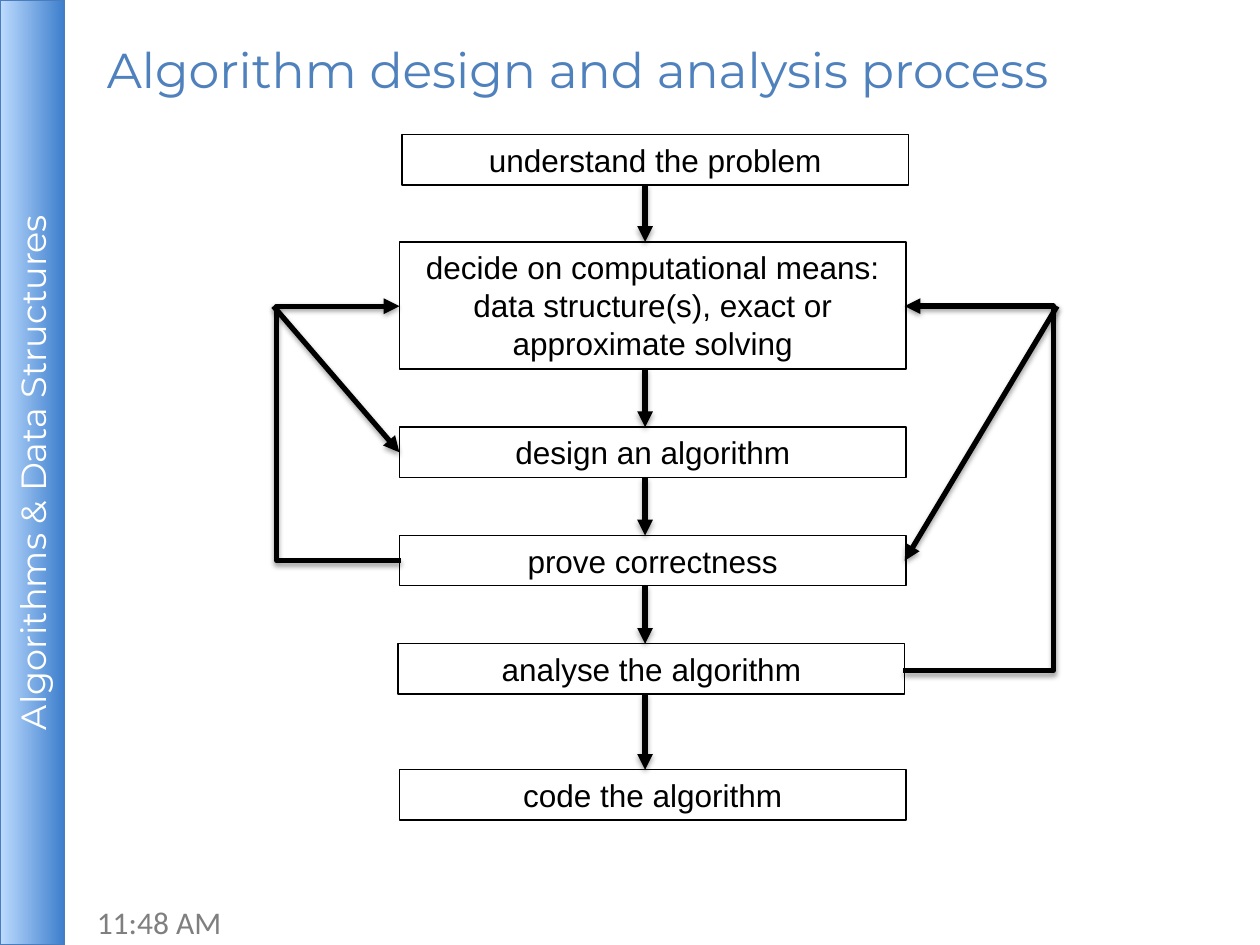
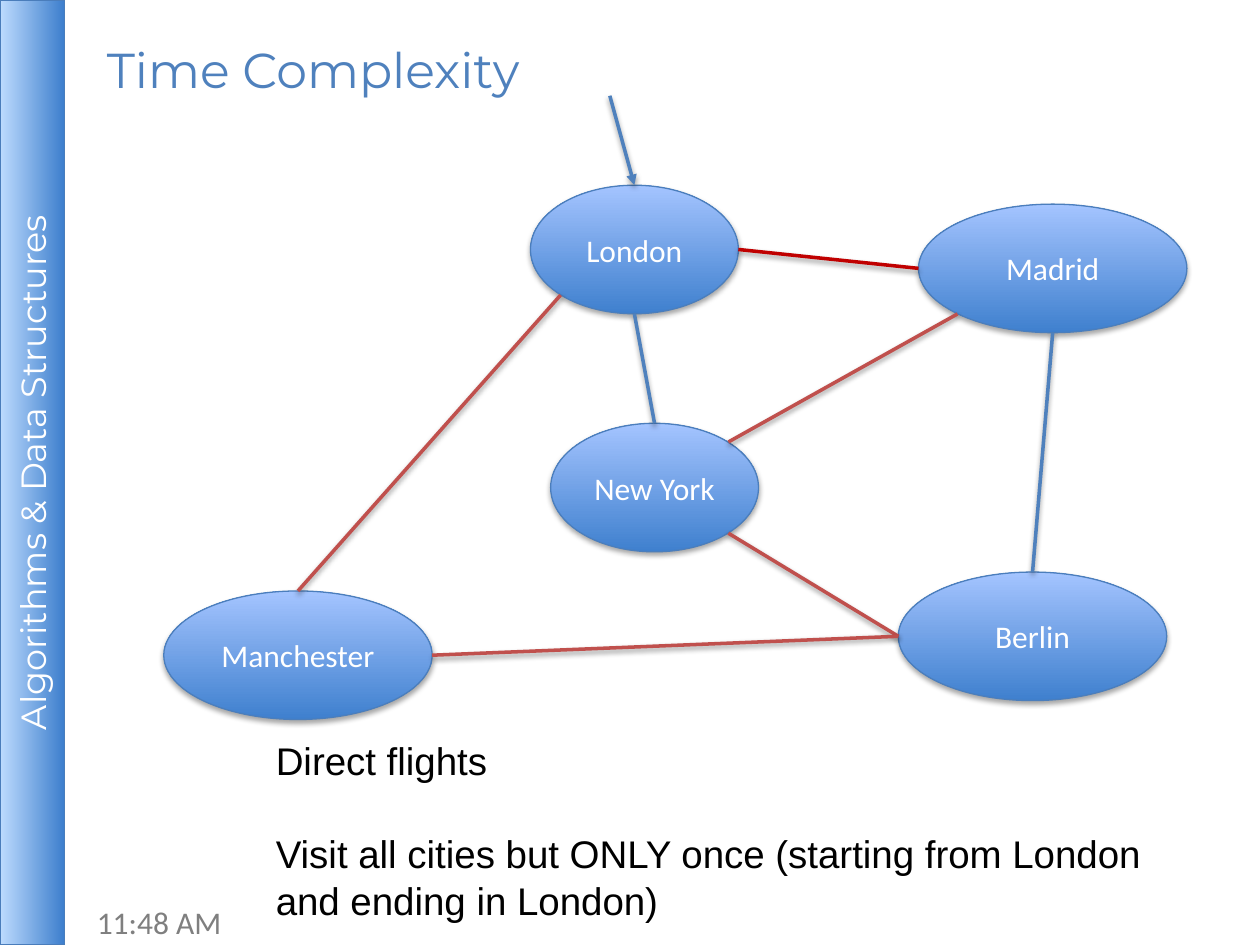
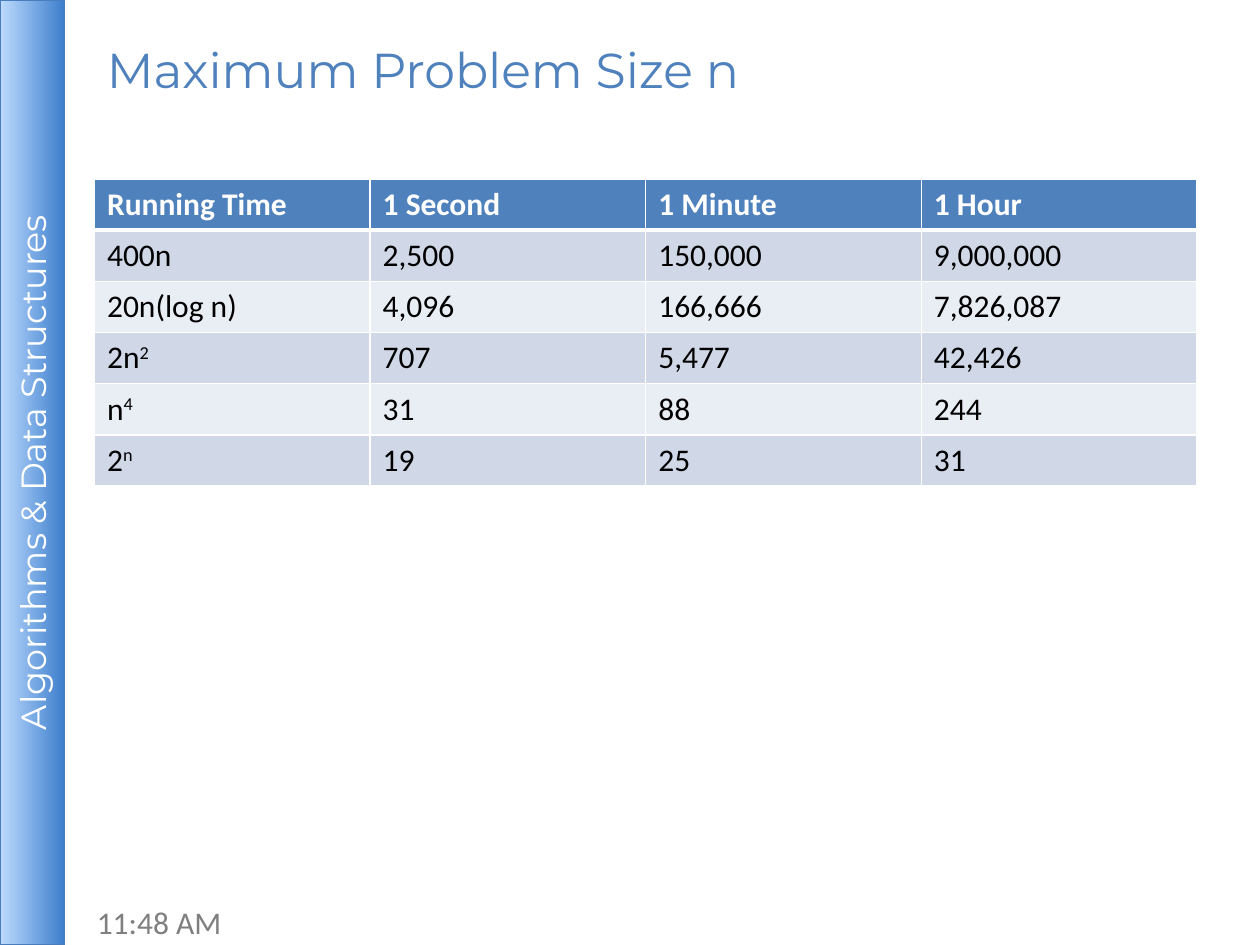
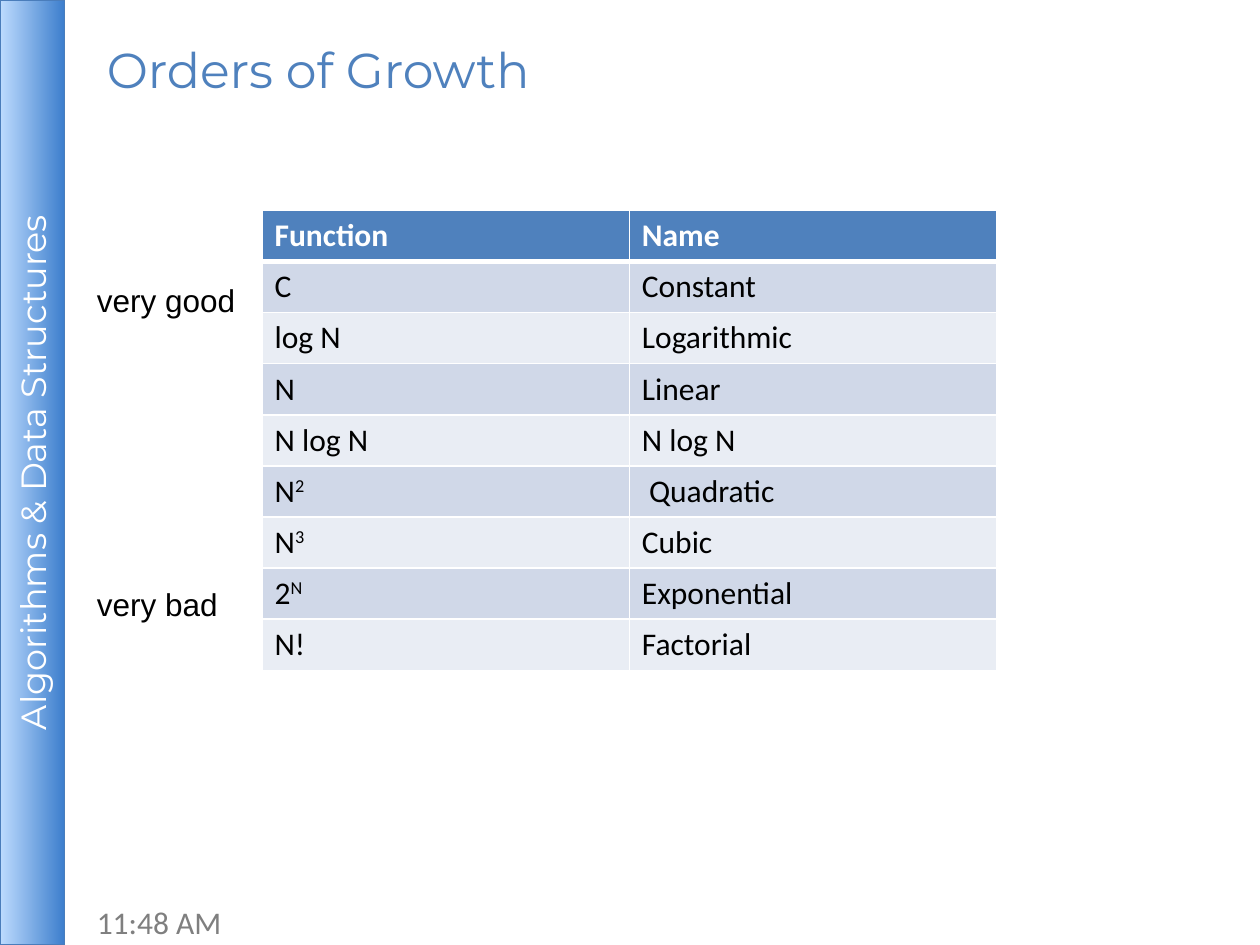
from dataclasses import dataclass
from enum import Enum
from itertools import pairwise

from lxml import etree
from pptx import Presentation
from pptx import util as u
from pptx.dml.color import RGBColor
from pptx.enum import shapes, text
from pptx.oxml.ns import qn

EMU_PER_PX = 9144


def px(length: float) -> u.Emu:
    return u.Emu(round(length * EMU_PER_PX))


@dataclass(frozen=True)
class TextStyle:
    font: str
    size: int
    color: str
    bold: bool = False


@dataclass(frozen=True)
class Shadow:
    color: str
    opacity: int
    blur: float
    distance: float


@dataclass(frozen=True)
class Theme:
    title = TextStyle("Montserrat", 28, "4F81BD")
    band = TextStyle("Montserrat", 20, "FFFFFF")
    clock = TextStyle("Calibri", 18, "7F7F7F")
    label = TextStyle("Arial", 18, "000000")
    note = TextStyle("Arial", 22, "000000")
    city = TextStyle("Calibri", 18, "FFFFFF")
    header = TextStyle("Calibri", 18, "FFFFFF", True)
    cell = TextStyle("Calibri", 18, "000000")
    black = "000000"
    white = "FFFFFF"
    blue = "4F81BD"
    red = "C0504D"
    dark_red = "C00000"
    band_line = "4A7DBB"
    city_line = "4B7EBC"
    band_gradient = ("BDDBFE", "3E7FCD")
    city_gradient = ("3F80CE", "A4C4FF")
    stripes = ("D0D8E8", "E9EDF4")
    band_shadow = Shadow("EEECE1", 35, 0, 1.8)
    city_shadow = Shadow("000000", 35, 3.1, 1.8)
    line_shadow = Shadow("000000", 38, 3.1, 1.6)
    hairline = 0.75
    flow_width = 3
    route_width = 2


THEME = Theme()


@dataclass(frozen=True)
class Box:
    left: int
    top: int
    width: int
    height: int

    @property
    def emu(self) -> tuple:
        return px(self.left), px(self.top), px(self.width), px(self.height)


@dataclass(frozen=True)
class Step:
    caption: str
    box: Box


class Side(Enum):
    TOP = (0, -1)
    RIGHT = (1, 0)
    BOTTOM = (0, 1)
    LEFT = (-1, 0)
    TOP_RIGHT = (0.71, -0.71)
    BOTTOM_RIGHT = (0.71, 0.71)
    BOTTOM_LEFT = (-0.71, 0.71)


@dataclass(frozen=True)
class City:
    name: str
    box: Box

    def at(self, side: Side) -> tuple[float, float]:
        dx, dy = side.value
        return (self.box.left + self.box.width / 2 * (1 + dx),
                self.box.top + self.box.height / 2 * (1 + dy))


@dataclass(frozen=True)
class Flight:
    origin: City
    leaves: Side
    target: City
    arrives: Side
    color: str


def rgb(value: str) -> RGBColor:
    return RGBColor.from_string(value)


def style_paragraph(paragraph, style: TextStyle, align=None) -> None:
    paragraph.alignment = align
    font = paragraph.font
    font.name, font.size, font.bold = style.font, u.Pt(style.size), style.bold
    font.color.rgb = rgb(style.color)


def write(frame, lines: list[str], style: TextStyle, align=None, gap: int = 0) -> None:
    for index, line in enumerate(lines):
        paragraph = frame.add_paragraph() if index else frame.paragraphs[0]
        paragraph.add_run().text = line
        style_paragraph(paragraph, style, align)
        if index and gap:
            paragraph.space_before = u.Pt(gap)


def add_text(slide, box: Box, lines: list[str], style: TextStyle,
             anchor=text.MSO_ANCHOR.TOP, wrap: bool = True, gap: int = 0) -> None:
    frame = slide.shapes.add_textbox(*box.emu).text_frame
    frame.word_wrap = wrap
    frame.vertical_anchor = anchor
    write(frame, lines, style, gap=gap)


def cast_shadow(shape, shadow: Shadow) -> None:
    effects = etree.SubElement(shape._element.spPr, qn("a:effectLst"))
    outer = etree.SubElement(effects, qn("a:outerShdw"), blurRad=str(u.Pt(shadow.blur)),
                             dist=str(u.Pt(shadow.distance)), dir="5400000", rotWithShape="0")
    color = etree.SubElement(outer, qn("a:srgbClr"), val=shadow.color)
    etree.SubElement(color, qn("a:alpha"), val=str(shadow.opacity * 1000))


def paint_line(line, color: str, width: float) -> None:
    line.color.rgb = rgb(color)
    line.width = u.Pt(width)


def paint_gradient(shape, colors: tuple[str, str], angle: int) -> None:
    shape.fill.gradient()
    shape.fill.gradient_angle = angle
    for stop, color in zip(shape.fill.gradient_stops, colors):
        stop.color.rgb = rgb(color)


def add_line(slide, start, end, color: str, width: float, arrow: bool = False,
             bend_x: int | None = None) -> None:
    (x1, y1), (x2, y2) = start, end
    kind = shapes.MSO_CONNECTOR.STRAIGHT if bend_x is None else shapes.MSO_CONNECTOR.ELBOW
    link = slide.shapes.add_connector(kind, px(x1), px(y1), px(x2), px(y2))
    properties = link._element.spPr
    paint_line(link.line, color, width)
    if arrow:
        etree.SubElement(properties.find(qn("a:ln")), qn("a:tailEnd"), type="triangle")
    if bend_x is not None:
        ratio = round((bend_x - x1) / (x2 - x1) * 100000)
        guides = properties.find(qn("a:prstGeom")).get_or_add_avLst()
        etree.SubElement(guides, qn("a:gd"), name="adj1", fmla=f"val {ratio}")
        frame = properties.xfrm
        if frame.flipH and frame.flipV:
            frame.flipH = frame.flipV = False
            frame.rot = 180.0
    cast_shadow(link, THEME.line_shadow)


def add_band(slide) -> None:
    band = slide.shapes.add_shape(shapes.MSO_SHAPE.RECTANGLE, *Box(0, 0, 51, 750).emu)
    paint_gradient(band, THEME.band_gradient, 0)
    paint_line(band.line, THEME.band_line, THEME.hairline)
    cast_shadow(band, THEME.band_shadow)
    frame = band.text_frame
    frame.margin_left = frame.margin_right = frame.margin_top = frame.margin_bottom = px(4)
    frame.vertical_anchor = text.MSO_ANCHOR.MIDDLE
    frame._txBody.bodyPr.set("vert", "vert270")
    write(frame, ["Algorithms & Data Structures"], THEME.band, text.PP_ALIGN.CENTER)


def new_slide(deck, title: str, title_width: int = 750):
    slide = deck.slides.add_slide(deck.slide_layouts[6])
    add_text(slide, Box(67, 712, 233, 40), ["11:48 AM"], THEME.clock)
    add_band(slide)
    add_text(slide, Box(75, 16, title_width, 78), [title], THEME.title, text.MSO_ANCHOR.MIDDLE)
    return slide


def add_step(slide, step: Step) -> None:
    outline = slide.shapes.add_shape(shapes.MSO_SHAPE.RECTANGLE, *step.box.emu)
    outline.shadow.inherit = False
    outline.fill.background()
    paint_line(outline.line, THEME.black, THEME.hairline)
    outline.text_frame.word_wrap = True
    outline.text_frame.vertical_anchor = text.MSO_ANCHOR.TOP
    write(outline.text_frame, [step.caption], THEME.label, text.PP_ALIGN.CENTER)


def add_city(slide, city: City) -> None:
    oval = slide.shapes.add_shape(shapes.MSO_SHAPE.OVAL, *city.box.emu)
    paint_gradient(oval, THEME.city_gradient, 90)
    paint_line(oval.line, THEME.city_line, THEME.hairline)
    cast_shadow(oval, THEME.city_shadow)
    oval.text_frame.vertical_anchor = text.MSO_ANCHOR.MIDDLE
    write(oval.text_frame, [city.name], THEME.city, text.PP_ALIGN.CENTER)


def add_borders(cell, top: int, bottom: int) -> None:
    properties = cell._tc.get_or_add_tcPr()
    for side, width in (("L", 1), ("R", 1), ("T", top), ("B", bottom)):
        border = etree.SubElement(properties, qn(f"a:ln{side}"), w=str(u.Pt(width)))
        fill = etree.SubElement(border, qn("a:solidFill"))
        etree.SubElement(fill, qn("a:srgbClr"), val=THEME.white)


def add_grid(slide, box: Box, rows: list[tuple[str, ...]]) -> None:
    grid = slide.shapes.add_table(len(rows), len(rows[0]), *box.emu).table
    for r, row in enumerate(rows):
        for c, entry in enumerate(row):
            cell = grid.cell(r, c)
            add_borders(cell, top=3 if r == 1 else 1, bottom=3 if r == 0 else 1)
            cell.fill.solid()
            cell.fill.fore_color.rgb = rgb(THEME.stripes[(r - 1) % 2] if r else THEME.blue)
            base, _, power = entry.partition("^")
            paragraph = cell.text_frame.paragraphs[0]
            paragraph.add_run().text = base
            if power:
                exponent = paragraph.add_run()
                exponent.text = power
                exponent.font._element.set("baseline", "30000")
            style_paragraph(paragraph, THEME.cell if r else THEME.header)


def build_process(deck) -> None:
    slide = new_slide(deck, "Algorithm design and analysis process", 875)
    steps = [
        Step("understand the problem", Box(319, 107, 402, 40)),
        Step("decide on computational means: data structure(s), exact or approximate solving",
             Box(317, 192, 402, 101)),
        Step("design an algorithm", Box(317, 339, 402, 40)),
        Step("prove correctness", Box(317, 425, 402, 40)),
        Step("analyse the algorithm", Box(316, 511, 402, 40)),
        Step("code the algorithm", Box(317, 611, 402, 40)),
    ]
    for step in steps:
        add_step(slide, step)

    def arrow(start, end, bend_x=None) -> None:
        add_line(slide, start, end, THEME.black, THEME.flow_width, True, bend_x)

    for upper, lower in pairwise(steps):
        arrow((512, upper.box.top + upper.box.height), (512, lower.box.top))
    arrow((318, 445), (317, 243), bend_x=218)
    arrow((717, 532), (718, 243), bend_x=838)
    arrow((217, 243), (317, 359))
    arrow((839, 243), (718, 445))


def build_flights(deck) -> None:
    slide = new_slide(deck, "Time Complexity")
    london = City("London", Box(421, 147, 165, 102))
    manchester = City("Manchester", Box(130, 469, 213, 102))
    berlin = City("Berlin", Box(713, 454, 213, 102))
    new_york = City("New York", Box(437, 336, 165, 102))
    madrid = City("Madrid", Box(729, 162, 213, 102))
    for city in (london, manchester, berlin, new_york, madrid):
        add_city(slide, city)
    flights = [
        Flight(london, Side.BOTTOM, new_york, Side.TOP, THEME.blue),
        Flight(new_york, Side.BOTTOM_RIGHT, berlin, Side.LEFT, THEME.red),
        Flight(london, Side.BOTTOM_LEFT, manchester, Side.TOP, THEME.red),
        Flight(berlin, Side.LEFT, manchester, Side.RIGHT, THEME.red),
        Flight(madrid, Side.LEFT, london, Side.RIGHT, THEME.dark_red),
        Flight(berlin, Side.TOP, madrid, Side.BOTTOM, THEME.blue),
        Flight(new_york, Side.TOP_RIGHT, madrid, Side.BOTTOM_LEFT, THEME.red),
    ]
    for flight in flights:
        add_line(slide, flight.origin.at(flight.leaves), flight.target.at(flight.arrives),
                 flight.color, THEME.route_width)
    add_line(slide, (484, 76), london.at(Side.TOP), THEME.blue, THEME.route_width, arrow=True)
    add_text(slide, Box(209, 580, 708, 158),
             ["Direct flights",
              "Visit all cities but ONLY once (starting from London and ending in London)"],
             THEME.note, gap=27)


def build_problem_size(deck) -> None:
    slide = new_slide(deck, "Maximum Problem Size n")
    add_grid(slide, Box(75, 142, 875, 244), [
        ("Running Time", "1 Second", "1 Minute", "1 Hour"),
        ("400n", "2,500", "150,000", "9,000,000"),
        ("20n(log n)", "4,096", "166,666", "7,826,087"),
        ("2n^2", "707", "5,477", "42,426"),
        ("n^4", "31", "88", "244"),
        ("2^n", "19", "25", "31"),
    ])


def build_growth(deck) -> None:
    slide = new_slide(deck, "Orders of Growth")
    add_grid(slide, Box(208, 167, 583, 365), [
        ("Function", "Name"),
        ("C", "Constant"),
        ("log N", "Logarithmic"),
        ("N", "Linear"),
        ("N log N", "N log N"),
        ("N^2", " Quadratic"),
        ("N^3", "Cubic"),
        ("2^N", "Exponential"),
        ("N!", "Factorial"),
    ])
    add_text(slide, Box(67, 218, 131, 283), ["very good", "very bad"], THEME.label,
             wrap=False, gap=152)


def main() -> None:
    deck = Presentation()
    deck.slide_width, deck.slide_height = px(1000), px(750)
    for build in (build_process, build_flights, build_problem_size, build_growth):
        build(deck)
    deck.save("out.pptx")


if __name__ == "__main__":
    main()
